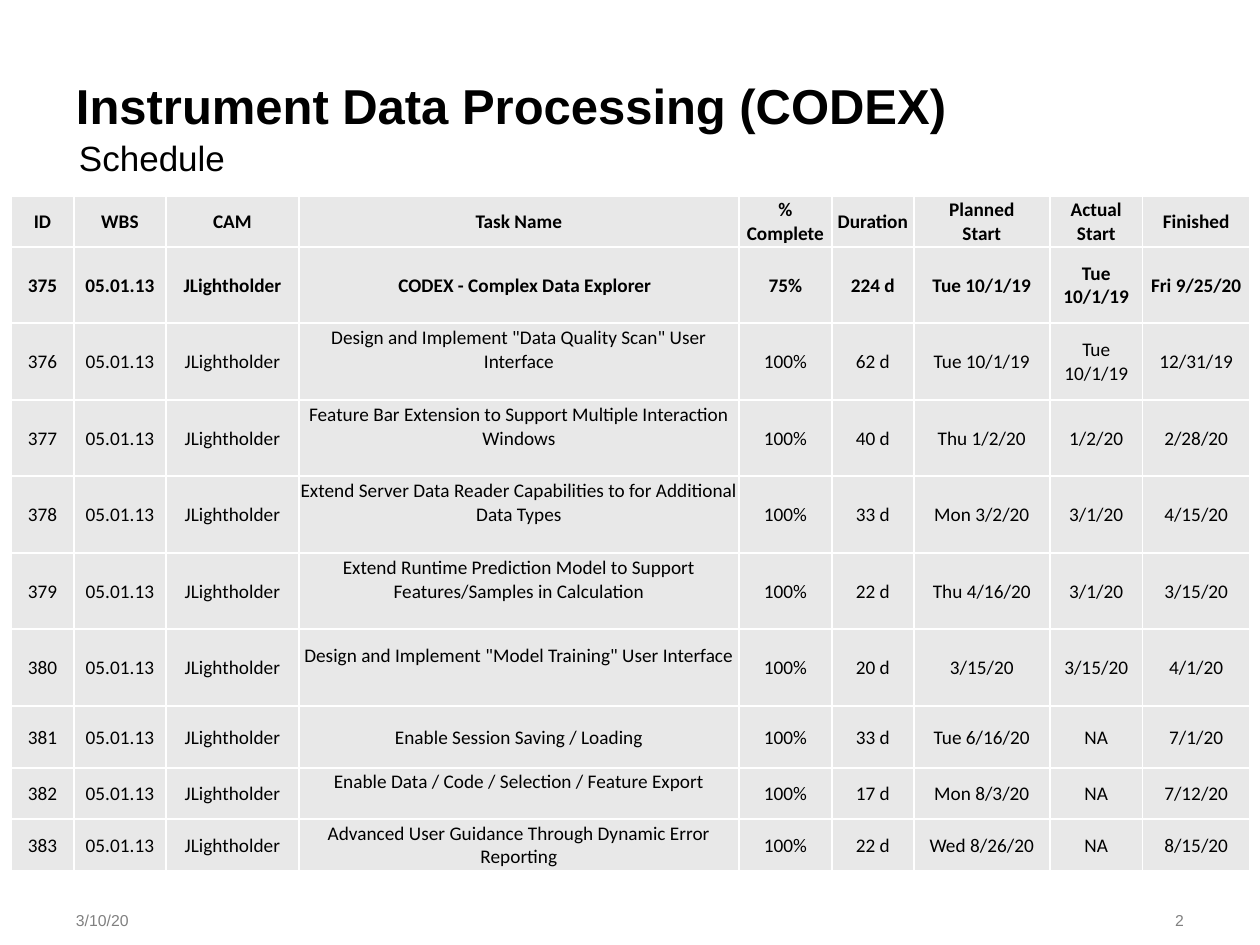
import pptx
import pptx.dml.color
import pptx.enum.text
import pptx.oxml
import pptx.oxml.ns
import pptx.util

PX = 914400 // 126
ALIGN = pptx.enum.text.PP_ALIGN
MIDDLE = pptx.enum.text.MSO_ANCHOR.MIDDLE


def color(hex_code):
    return pptx.dml.color.RGBColor.from_string(hex_code)


def write(frame, text, size, font="Arial", bold=False, ink="000000",
          align=ALIGN.LEFT, margins=(13, 6, 13, 6)):
    """Fill a text frame; margins are left, top, right, bottom in px."""
    frame.word_wrap = True
    frame.margin_left, frame.margin_top, frame.margin_right, frame.margin_bottom = (
        margin * PX for margin in margins)
    frame.text = text
    for paragraph in frame.paragraphs:
        paragraph.alignment = align
        paragraph.font.name = font
        paragraph.font.size = pptx.util.Pt(size)
        paragraph.font.bold = bold
        paragraph.font.color.rgb = color(ink)


deck = pptx.Presentation()
deck.slide_width = pptx.util.Inches(10)
deck.slide_height = pptx.util.Inches(7.5)
slide = deck.slides.add_slide(deck.slide_layouts[5])

# Heading
title = slide.shapes.title
title.left, title.top, title.width, title.height = (n * PX for n in (63, 63, 1134, 60))
write(title.text_frame, "Instrument Data Processing (CODEX)", 28, bold=True,
      margins=(13, 12, 13, 0))
title.text_frame.vertical_anchor = pptx.enum.text.MSO_ANCHOR.TOP
title.text_frame.auto_size = pptx.enum.text.MSO_AUTO_SIZE.NONE

subtitle = slide.shapes.add_textbox(66 * PX, 126 * PX, 1134 * PX, 45 * PX)
write(subtitle.text_frame, "Schedule", 20, margins=(13, 10, 13, 0))

# Schedule table
WBS, CAM = "05.01.13", "JLightholder"
headings = ["ID", "WBS", "CAM", "Task Name", "%\nComplete", "Duration",
            "Planned\nStart", "Actual\nStart", "Finished"]
tasks = [
    ("375", "CODEX - Complex Data Explorer", "75%", "224 d",
     "Tue 10/1/19", "Tue 10/1/19", "Fri 9/25/20"),
    ("376", 'Design and Implement "Data Quality Scan" User Interface', "100%", "62 d",
     "Tue 10/1/19", "Tue 10/1/19", "12/31/19"),
    ("377", "Feature Bar Extension to Support Multiple Interaction Windows", "100%", "40 d",
     "Thu 1/2/20", "1/2/20", "2/28/20"),
    ("378", "Extend Server Data Reader Capabilities to for Additional Data Types", "100%", "33 d",
     "Mon 3/2/20", "3/1/20", "4/15/20"),
    ("379", "Extend Runtime Prediction Model to Support Features/Samples in Calculation",
     "100%", "22 d", "Thu 4/16/20", "3/1/20", "3/15/20"),
    ("380", 'Design and Implement "Model Training" User Interface', "100%", "20 d",
     "3/15/20", "3/15/20", "4/1/20"),
    ("381", "Enable Session Saving / Loading", "100%", "33 d",
     "Tue 6/16/20", "NA", "7/1/20"),
    ("382", "Enable Data / Code / Selection / Feature Export", "100%", "17 d",
     "Mon 8/3/20", "NA", "7/12/20"),
    ("383", "Advanced User Guidance Through Dynamic Error Reporting", "100%", "22 d",
     "Wed 8/26/20", "NA", "8/15/20"),
]
raised_tasks = {"376", "377", "378", "379", "380", "382"}
column_widths = [63, 92, 133, 440, 93, 82, 136, 93, 107]
row_heights = [51, 76, 77, 76, 77, 76, 77, 62, 51, 52]

rows = [headings] + [[number, WBS, CAM, *rest] for number, *rest in tasks]
schedule = slide.shapes.add_table(
    len(rows), len(headings), 11 * PX, 196 * PX,
    sum(column_widths) * PX, sum(row_heights) * PX).table
schedule.first_row = schedule.horz_banding = False
for column, width in zip(schedule.columns, column_widths):
    column.width = width * PX
for row, height in zip(schedule.rows, row_heights):
    row.height = height * PX

for r, values in enumerate(rows):
    for c, value in enumerate(values):
        cell = schedule.cell(r, c)
        is_task = headings[c] == "Task Name"
        left = 13 if is_task and values[0] == "375" else 1
        bottom = 24 if is_task and values[0] in raised_tasks else 0
        write(cell.text_frame, value, 11, font="Calibri", bold=r < 2, align=ALIGN.CENTER)
        cell.margin_left, cell.margin_top = left * PX, PX
        cell.margin_right, cell.margin_bottom = PX, bottom * PX
        cell.vertical_anchor = MIDDLE
        properties = cell._tc.get_or_add_tcPr()
        for side in ("lnL", "lnR", "lnT", "lnB"):
            properties.append(pptx.oxml.parse_xml(
                f'<a:{side} {pptx.oxml.ns.nsdecls("a")} w="12700"><a:solidFill>'
                f'<a:srgbClr val="FFFFFF"/></a:solidFill></a:{side}>'))
        cell.fill.solid()
        cell.fill.fore_color.rgb = color("E8E8E8")

# Footer
for text, left, width, align in (("3/10/20", 63, 186, ALIGN.LEFT),
                                 ("2", 1022, 175, ALIGN.RIGHT)):
    footer = slide.shapes.add_textbox(left * PX, 895 * PX, width * PX, 50 * PX)
    write(footer.text_frame, text, 9, ink="808080", align=align)
    footer.text_frame.vertical_anchor = MIDDLE

deck.save("out.pptx")
